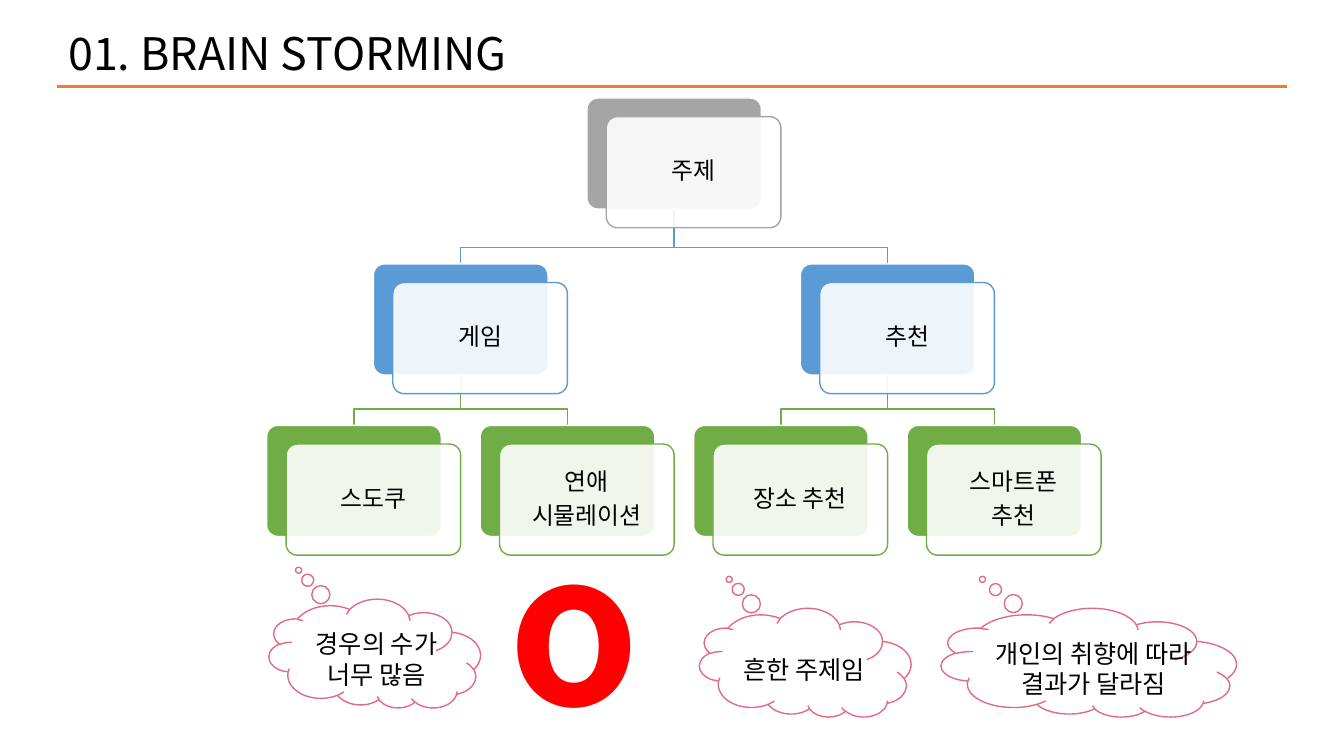
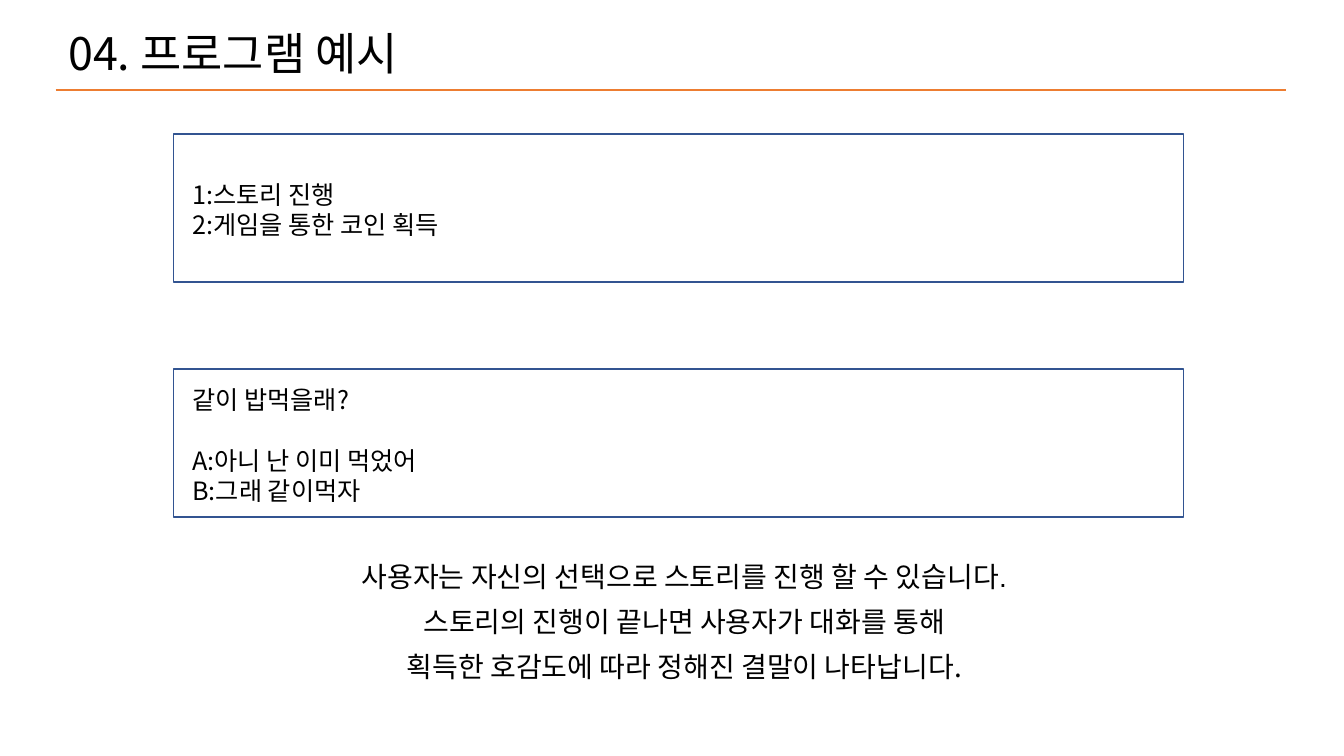
"""Build a two-slide deck: a brainstorming tree and a program example."""

from pptx import Presentation
from pptx.dml.color import RGBColor
from pptx.enum.shapes import MSO_CONNECTOR, MSO_SHAPE
from pptx.enum.text import MSO_ANCHOR, PP_ALIGN
from pptx.oxml.ns import qn
from pptx.util import Cm, Pt
from lxml.etree import SubElement

FONT = "Noto Sans CJK KR"
BLACK = RGBColor(0x00, 0x00, 0x00)
WHITE = RGBColor(0xFF, 0xFF, 0xFF)
RED = RGBColor(0xFF, 0x00, 0x00)
GRAY = RGBColor(0xA5, 0xA5, 0xA5)
BLUE = RGBColor(0x5B, 0x9B, 0xD5)
GREEN = RGBColor(0x70, 0xAD, 0x47)
ORANGE = RGBColor(0xED, 0x7D, 0x31)
PINK = RGBColor(0xE1, 0x6B, 0x87)
NAVY = RGBColor(0x32, 0x54, 0x91)

CARD_WIDTH, CARD_HEIGHT = 4.4, 2.8
PANEL_SHIFT_X, PANEL_SHIFT_Y = 0.49, 0.47
LEAF_LEFT, LEAF_PITCH = 6.72, 5.38
BAR_GAP = 0.41
LEVELS = [
    (2.47, GRAY, [["주제"]]),
    (6.65, BLUE, [["게임"], ["추천"]]),
    (10.72, GREEN, [["스도쿠"], ["연애", "시물레이션"],
                    ["장소 추천"], ["스마트폰", "추천"]]),
]
CENTERED = {"alignment": PP_ALIGN.CENTER}
CARD_TEXT = {**CENTERED, "line_spacing": 0.9, "space_after": Pt(6)}
CARD_FRAME = {"vertical_anchor": MSO_ANCHOR.MIDDLE,
              **{f"margin_{side}": Cm(0.18)
                 for side in ("left", "top", "right", "bottom")}}


def apply_format(target, values):
    """Set each named attribute on the target."""
    for name, value in values.items():
        setattr(target, name, value)


def add_text(page, place, lines, size=18, color=BLACK, bold=False,
             para_format=None, frame_format=None):
    """Add a wrapped text box with one paragraph per line."""
    box = page.shapes.add_textbox(*map(Cm, place))
    frame = box.text_frame
    apply_format(frame, {"word_wrap": True, **(frame_format or {})})
    for index, line in enumerate(lines):
        para = frame.add_paragraph() if index else frame.paragraphs[0]
        apply_format(para, para_format or {})
        span = para.add_run()
        span.text = line
        apply_format(span.font, {"name": FONT, "size": Pt(size), "bold": bold})
        span.font.color.rgb = color
        SubElement(span.font._element, qn("a:ea")).set("typeface", FONT)
    return frame


def add_outline_shape(page, kind, place, fill, line):
    """Add a filled preset shape with a thin outline."""
    shape = page.shapes.add_shape(kind, *map(Cm, place))
    shape.shadow.inherit = False
    shape.fill.solid()
    shape.fill.fore_color.rgb = fill
    shape.line.color.rgb = line
    shape.line.width = Pt(1)
    return shape


def add_heading(page, title, rule_left, rule_top):
    """Add the slide title and the orange rule below it."""
    rule = page.shapes.add_connector(
        MSO_CONNECTOR.STRAIGHT,
        *map(Cm, (rule_left, rule_top, rule_left + 31, rule_top)))
    rule.line.color.rgb = ORANGE
    rule.line.width = Pt(1.5)
    SubElement(rule._element.spPr, qn("a:effectLst"))
    add_text(page, (1.47, 0.53, 17.68, 3), [title], size=32)


def add_branch(page, start, end, color):
    """Draw an angled line from a parent card down to a child card."""
    bar = end[1] - BAR_GAP
    points = [start, (start[0], bar), (end[0], bar), end]
    points = [(Cm(x), Cm(y)) for x, y in points]
    builder = page.shapes.build_freeform(*points[0])
    builder.add_line_segments(points[1:], close=False)
    branch = builder.convert_to_shape()
    branch.shadow.inherit = False
    branch.fill.background()
    branch.line.color.rgb = color
    branch.line.width = Pt(1)


def add_card(page, left, top, color, lines):
    """Add a coloured card with a translucent text panel over it."""
    size = (CARD_WIDTH, CARD_HEIGHT)
    panel_place = (left + PANEL_SHIFT_X, top + PANEL_SHIFT_Y, *size)
    card = add_outline_shape(page, MSO_SHAPE.ROUNDED_RECTANGLE,
                             (left, top, *size), color, WHITE)
    panel = add_outline_shape(page, MSO_SHAPE.ROUNDED_RECTANGLE,
                              panel_place, WHITE, color)
    for shape in (card, panel):
        shape.adjustments[0] = 0.1
    tint = panel._element.spPr.find(qn("a:solidFill"))[0]
    SubElement(tint, qn("a:alpha")).set("val", "90000")
    add_text(page, panel_place, lines, size=17,
             para_format=CARD_TEXT, frame_format=CARD_FRAME)


def add_tree(page):
    """Lay out the topic tree with each parent centred over its children."""
    rows = [[LEAF_LEFT + LEAF_PITCH * index for index in range(4)]]
    while len(rows[0]) > 1:
        pairs = zip(rows[0][::2], rows[0][1::2])
        rows.insert(0, [sum(pair) / 2 for pair in pairs])
    half = CARD_WIDTH / 2
    for depth in range(1, len(LEVELS)):
        top, color, _ = LEVELS[depth]
        parent_bottom = LEVELS[depth - 1][0] + CARD_HEIGHT
        for index, left in enumerate(rows[depth]):
            parent_left = rows[depth - 1][index // 2]
            add_branch(page, (parent_left + half, parent_bottom),
                       (left + half, top), color)
    for lefts, (top, color, labels) in zip(rows, LEVELS):
        for left, lines in zip(lefts, labels):
            add_card(page, left, top, color, lines)


def add_thought(page, cloud_place, text_place, text):
    """Add a thought cloud pointing up, with its remark."""
    cloud = add_outline_shape(page, MSO_SHAPE.CLOUD_CALLOUT,
                              cloud_place, WHITE, PINK)
    cloud.adjustments[0] = -0.36
    cloud.adjustments[1] = 0.77
    cloud._element.spPr.find(qn("a:xfrm")).set("flipV", "1")
    add_text(page, text_place, [text], para_format=CENTERED)


def add_dialog(page, top, text_top, lines):
    """Add a framed program dialog and return its text frame."""
    add_outline_shape(page, MSO_SHAPE.RECTANGLE,
                      (4.37, top, 25.45, 3.73), WHITE, NAVY)
    return add_text(page, (4.6, text_top, 24.64, 2.5), lines)


def build_brainstorming(page):
    """Fill the brainstorming slide."""
    add_tree(page)
    add_heading(page, "01. BRAIN STORMING", 1.43, 2.18)
    add_text(page, (12.57, 12.37, 4.19, 6.68), ["o"],
             size=150, color=RED, bold=True)
    thoughts = [
        ((6.78, 15.11, 5.33, 2.74), (7.42, 15.72, 4.14, 1.8),
         "경우의 수가 너무 많음"),
        ((17.63, 15.34, 5.33, 2.74), (18.2, 16.36, 4.14, 1.02),
         "흔한 주제임"),
        ((23.72, 15.34, 7.44, 2.74), (24.38, 15.95, 6.35, 1.8),
         "개인의 취향에 따라 결과가 달라짐"),
    ]
    for thought in thoughts:
        add_thought(page, *thought)


def build_example(page):
    """Fill the program example slide."""
    add_heading(page, "04. 프로그램 예시", 1.4, 2.27)
    add_dialog(page, 3.38, 4.4, ["1:스토리 진행", "2:게임을 통한 코인 획득"])
    question = add_dialog(page, 9.3, 9.55, [
        "같이 밥먹을래?", "A:아니 난 이미 먹었어", "B:그래 같이먹자"])
    question.paragraphs[1].space_before = Pt(22)
    summary = add_text(page, (1.75, 14.12, 30.99, 4.27), [
        "사용자는 자신의 선택으로 스토리를 진행 할 수 있습니다.",
        "스토리의 진행이 끝나면 사용자가 대화를 통해",
        "획득한 호감도에 따라 정해진 결말이 나타납니다.",
    ], size=20, para_format={**CENTERED, "line_spacing": 0.84,
                             "space_after": Pt(2)})
    first, *others = summary.paragraphs
    first.runs[0].font.name = "Arial"
    for para in others:
        para.space_before = Pt(10)


def main():
    """Build and save the deck."""
    deck = Presentation()
    apply_format(deck, {"slide_width": Cm(33.87), "slide_height": Cm(19.05)})
    for build in (build_brainstorming, build_example):
        build(deck.slides.add_slide(deck.slide_layouts[6]))
    deck.save("out.pptx")


if __name__ == "__main__":
    main()
